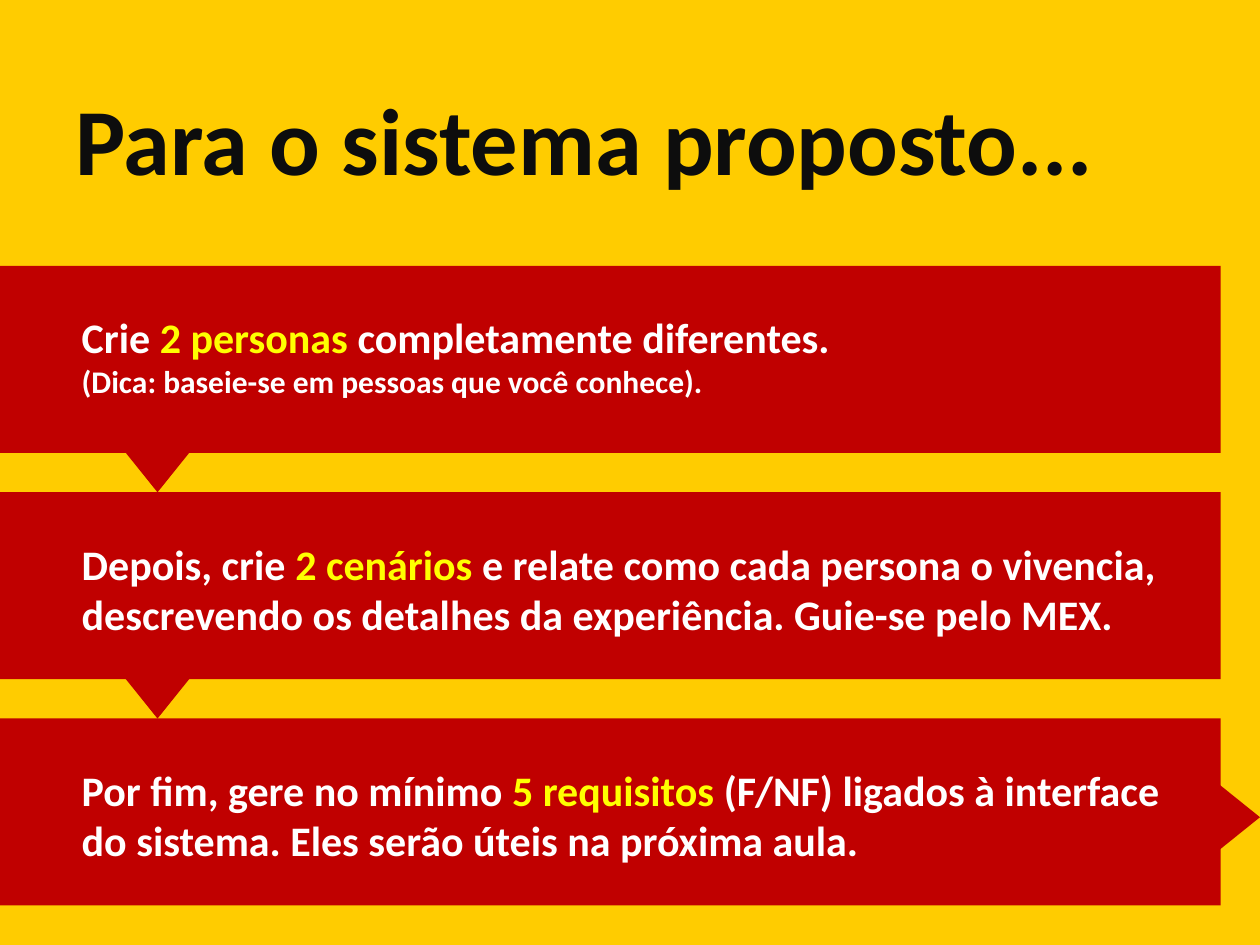
from pptx import Presentation
from pptx.dml.color import RGBColor
from pptx.enum.shapes import MSO_SHAPE as Shape
from pptx.enum.text import MSO_ANCHOR as Anchor
from pptx.util import Pt

COLORS = {
    "background": "FFCC00",
    "band": "C00000",
    "title": "0D0D0D",
    "text": "FFFFFF",
    "highlight": "FFFF00",
}
FONT = "Calibri"

BAND_TOP, BAND_PITCH = 152, 129.3
BAND_WIDTH, BAND_HEIGHT = 697.5, 106.8
ARROW_WIDTH, ARROW_HEIGHT = 45, 28
ARROW_LEFT = 67.5
TEXT_LEFT, TEXT_OFFSET = 39.6, 22.7

STEPS = [
    (664, [
        [("Crie ", "text", 24), ("2 personas", "highlight", 24),
         (" completamente diferentes.", "text", 24)],
        [("(Dica: baseie-se em pessoas que você conhece).", "text", 18)],
    ]),
    (664, [
        [("Depois, crie ", "text", 24), ("2 cenários", "highlight", 24),
         (" e relate como cada persona o vivencia, descrevendo os detalhes "
          "da experiência. Guie-se pelo MEX.", "text", 24)],
    ]),
    (646.5, [
        [("Por fim, gere no mínimo ", "text", 24), ("5 requisitos ", "highlight", 24),
         ("(F/NF) ligados à interface do sistema. Eles serão úteis na "
          "próxima aula.", "text", 24)],
    ]),
]


class SlideBuilder:
    def __init__(self, slide):
        self.slide = slide

    def color(self, name):
        return RGBColor.from_string(COLORS[name])

    def background(self, name):
        fill = self.slide.background.fill
        fill.solid()
        fill.fore_color.rgb = self.color(name)

    def shape(self, kind, left, top, width, height, rotation=0):
        shape = self.slide.shapes.add_shape(
            kind, Pt(left), Pt(top), Pt(width), Pt(height))
        shape.shadow.inherit = False
        shape.fill.solid()
        shape.fill.fore_color.rgb = self.color("band")
        shape.line.fill.background()
        shape.rotation = rotation

    def text(self, left, top, width, height, paragraphs, anchor=Anchor.TOP):
        box = self.slide.shapes.add_textbox(
            Pt(left), Pt(top), Pt(width), Pt(height))
        frame = box.text_frame
        frame.word_wrap = True
        frame.vertical_anchor = anchor
        for index, runs in enumerate(paragraphs):
            paragraph = frame.add_paragraph() if index else frame.paragraphs[0]
            for content, color, size in runs:
                run = paragraph.add_run()
                run.text = content
                run.font.name = FONT
                run.font.size = Pt(size)
                run.font.bold = True
                run.font.color.rgb = self.color(color)


def main():
    presentation = Presentation()
    presentation.slide_width = Pt(720)
    presentation.slide_height = Pt(540)
    builder = SlideBuilder(
        presentation.slides.add_slide(presentation.slide_layouts[6]))
    builder.background("background")
    builder.text(36, 50, 639.5, 57,
                 [[("Para o sistema proposto...", "title", 54)]], Anchor.MIDDLE)

    for index, (width, paragraphs) in enumerate(STEPS):
        top = BAND_TOP + index * BAND_PITCH
        builder.shape(Shape.RECTANGLE, 0, top, BAND_WIDTH, BAND_HEIGHT)
        if index:
            builder.shape(Shape.ISOSCELES_TRIANGLE, ARROW_LEFT, top - ARROW_HEIGHT,
                          ARROW_WIDTH, ARROW_HEIGHT, 180)
        builder.text(TEXT_LEFT, top + TEXT_OFFSET, width, 65, paragraphs)

    builder.shape(Shape.ISOSCELES_TRIANGLE, 683.5, 453,
                  ARROW_WIDTH, ARROW_HEIGHT, 90)
    presentation.save("out.pptx")


if __name__ == "__main__":
    main()
